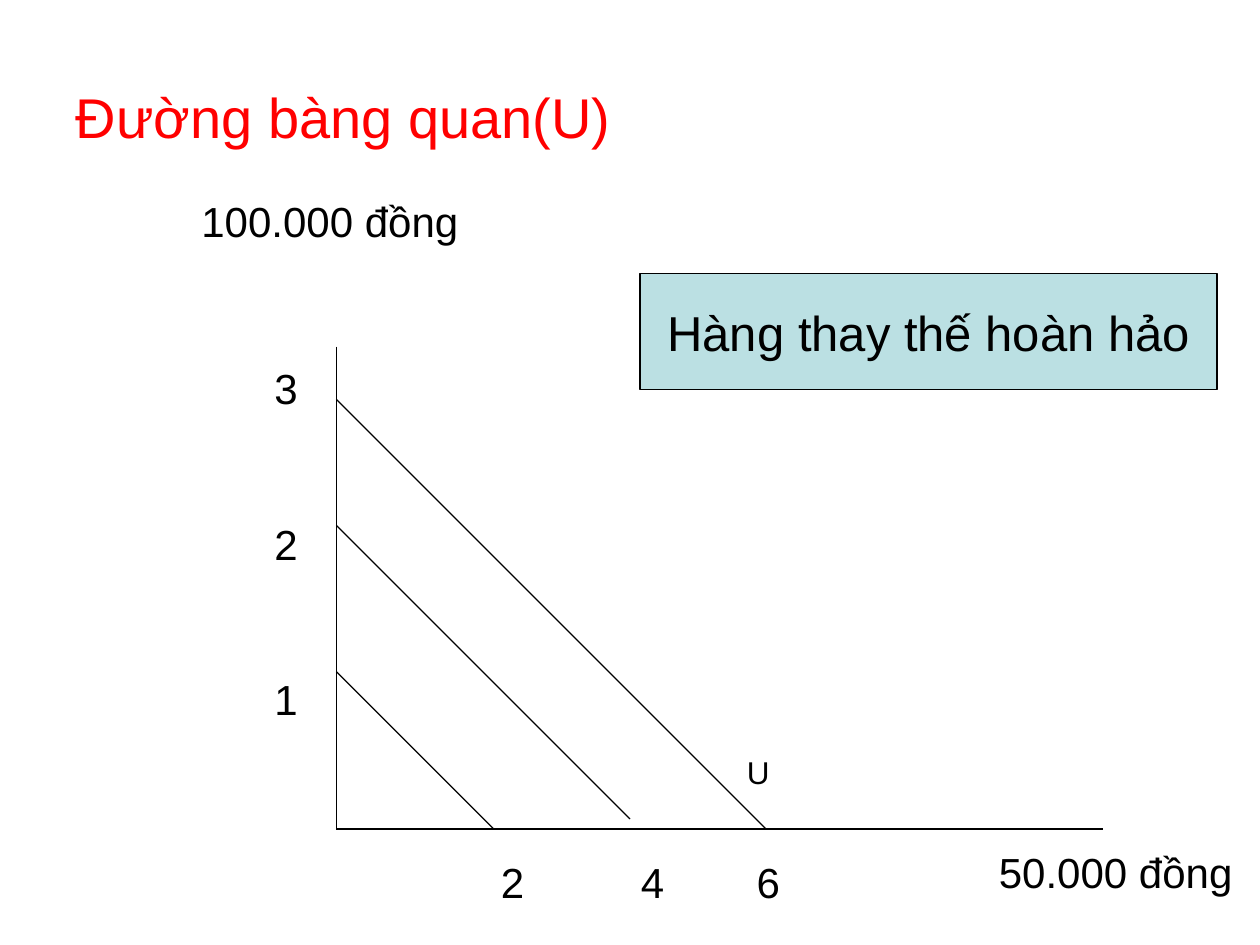
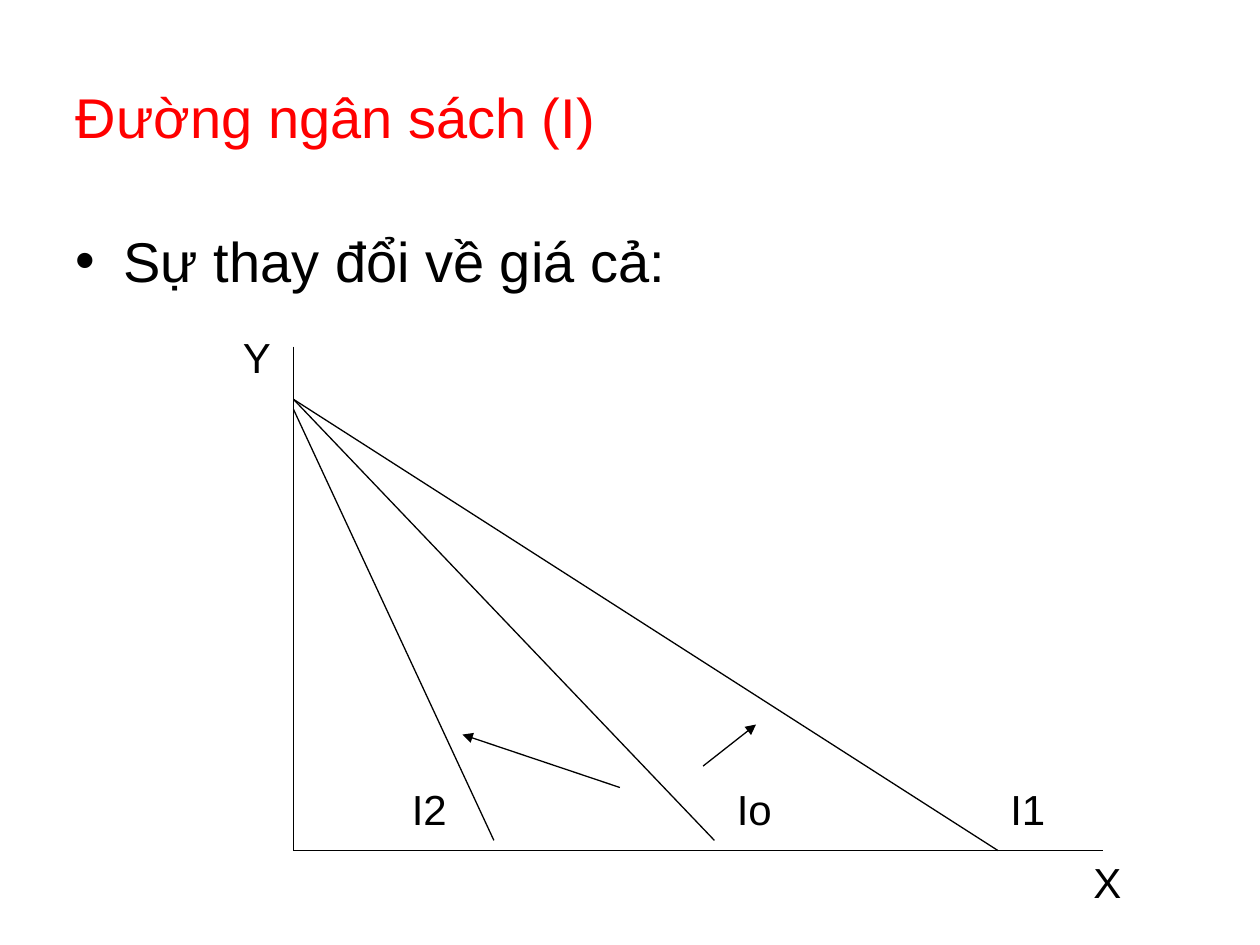
from lxml import etree
from pptx import Presentation
from pptx import util as u
from pptx.dml.color import RGBColor
from pptx.enum import shapes, text
from pptx.oxml import ns

RED, BLACK, PALE_TEAL = "FF0000", "000000", "BBE0E3"
FONT = "Arial"


def colour(hex_code):
    """Turn a hex string into a colour."""
    return RGBColor.from_string(hex_code)


def write(paragraph, words, size=24, ink=BLACK, align=text.PP_ALIGN.LEFT, before=0):
    """Put formatted words in a paragraph."""
    run = paragraph.add_run()
    run.text = words
    run.font.name = FONT
    run.font.size = u.Pt(size)
    run.font.color.rgb = colour(ink)
    paragraph.alignment = align
    paragraph.space_before = u.Pt(before)


def add_xml(parent, tag, **attributes):
    """Append a drawing element to its parent."""
    return etree.SubElement(parent, ns.qn(tag), attributes)


class Deck:
    """Holds the shared style and the current slide."""

    def __init__(self):
        """Start an empty 10 by 7.5 inch deck."""
        self.presentation = Presentation()
        self.presentation.slide_width = u.Inches(10)
        self.presentation.slide_height = u.Inches(7.5)
        self.slide = None

    def start(self, heading, layout):
        """Add a slide with a red heading."""
        self.slide = self.presentation.slides.add_slide(
            self.presentation.slide_layouts[layout])
        frame = self.place(self.slide.shapes.title, 0.5, 0.3, 9, 1.25)
        frame.vertical_anchor = text.MSO_ANCHOR.MIDDLE
        write(frame.paragraphs[0], heading, size=32, ink=RED)

    def place(self, holder, left, top, width, height):
        """Move a placeholder and return its text frame."""
        holder.left, holder.top = u.Inches(left), u.Inches(top)
        holder.width, holder.height = u.Inches(width), u.Inches(height)
        return holder.text_frame

    def bullet(self, words):
        """Fill the body placeholder with one bullet."""
        frame = self.place(self.slide.placeholders[1], 0.5, 1.75, 9, 0.75)
        point = frame.paragraphs[0]
        write(point, words, size=32, before=8)
        properties = point._p.get_or_add_pPr()
        properties.set("marL", str(u.Inches(0.38)))
        properties.set("indent", str(-u.Inches(0.38)))
        add_xml(properties, "a:buChar", char="•")

    def label(self, left, top, width, height, *lines, tabs=(), **style):
        """Add a text box, with centred tab stops if given."""
        box = self.slide.shapes.add_textbox(*map(u.Inches, (left, top, width, height)))
        frame = box.text_frame
        frame.word_wrap = True
        for number, words in enumerate(lines):
            paragraph = frame.add_paragraph() if number else frame.paragraphs[0]
            write(paragraph, words, **style)
            if tabs:
                stops = add_xml(paragraph._p.get_or_add_pPr(), "a:tabLst")
                for stop in tabs:
                    add_xml(stops, "a:tab", pos=str(u.Inches(stop)), algn="ctr")

    def line(self, start, end, arrow=False):
        """Draw a thin straight line or arrow."""
        stroke = self.slide.shapes.add_connector(
            shapes.MSO_CONNECTOR.STRAIGHT, *map(u.Inches, (*start, *end)))
        stroke.line.color.rgb = colour(BLACK)
        stroke.line.width = u.Pt(0.75)
        if arrow:
            add_xml(stroke.line._get_or_add_ln(), "a:tailEnd", type="triangle")
        add_xml(stroke._element.spPr, "a:effectLst")

    def axes(self, origin, top, right):
        """Draw the vertical and horizontal axes."""
        self.line((origin[0], top), origin)
        self.line(origin, (right, origin[1]))

    def panel(self, left, top, width, height, words):
        """Add a filled rectangle with centred words."""
        box = self.slide.shapes.add_shape(
            shapes.MSO_SHAPE.RECTANGLE, *map(u.Inches, (left, top, width, height)))
        box.shadow.inherit = False
        box.fill.solid()
        box.fill.fore_color.rgb = colour(PALE_TEAL)
        box.line.color.rgb = colour(BLACK)
        box.line.width = u.Pt(0.75)
        frame = box.text_frame
        frame.word_wrap = False
        frame.vertical_anchor = text.MSO_ANCHOR.MIDDLE
        write(frame.paragraphs[0], words, size=28, align=text.PP_ALIGN.CENTER)


def indifference_slide(deck):
    """Build the indifference curves of perfect substitutes."""
    deck.start("Đường bàng quan(U)", 5)
    origin = (2.67, 6.58)
    deck.axes(origin, 2.75, 8.75)
    for height, run in ((5.33, 1.25), (4.17, 2.33), (3.17, 3.41)):
        deck.line((origin[0], height), (origin[0] + run, height + run))
    deck.label(2.08, 2.83, 0.5, 2.94, "3", "2", "1", before=60)
    deck.label(3.42, 6.75, 3.08, 0.5, "\t2\t4\t6", tabs=(0.55, 1.66, 2.58))
    deck.label(7.83, 6.67, 2.17, 0.5, "50.000 đồng")
    deck.label(1.5, 1.5, 2.58, 0.5, "100.000 đồng")
    deck.panel(5.08, 2.17, 4.58, 0.92, "Hàng thay thế hoàn hảo")
    deck.label(5.83, 5.93, 0.5, 0.4, "U", size=18)


def budget_slide(deck):
    """Build the budget lines under changing prices."""
    deck.start("Đường ngân sách (I)", 1)
    deck.bullet("Sự thay đổi về giá cả:")
    origin = (2.33, 6.75)
    deck.axes(origin, 2.75, 8.75)
    for height, foot in ((3.17, (7.92, 6.75)), (3.17, (5.67, 6.67)), (3.25, (3.92, 6.67))):
        deck.line((origin[0], height), foot)
    for budget, left in (("Io", 5.75), ("I2", 3.17), ("I1", 7.92)):
        deck.label(left, 6.17, 0.67, 0.5, budget)
    deck.line((5.58, 6.08), (6, 5.75), arrow=True)
    deck.line((4.92, 6.25), (3.67, 5.83), arrow=True)
    deck.label(1.83, 2.58, 0.58, 0.5, "Y")
    deck.label(8.58, 6.75, 0.58, 0.5, "X")


def main():
    """Build and save both slides."""
    deck = Deck()
    indifference_slide(deck)
    budget_slide(deck)
    deck.presentation.save("out.pptx")


if __name__ == "__main__":
    main()
